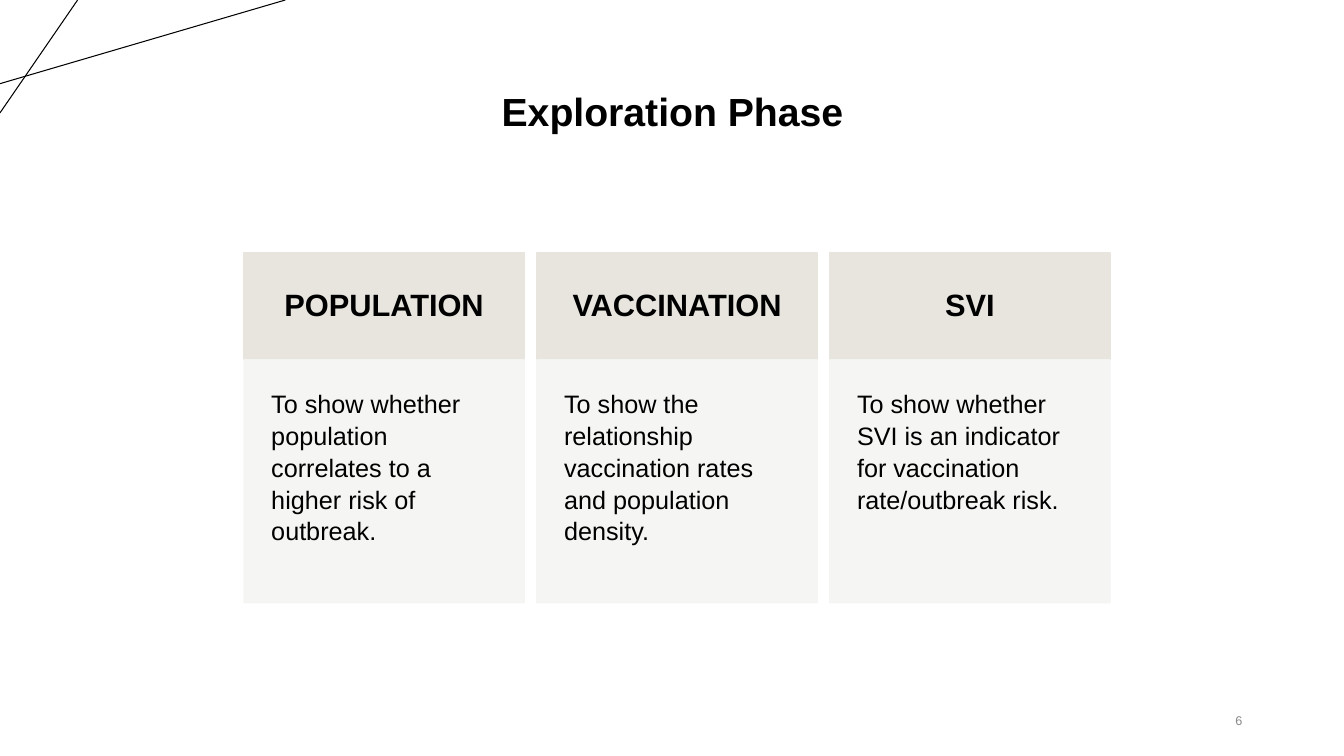
import pptx
import pptx.dml.color
import pptx.enum.shapes
import pptx.enum.text
import pptx.oxml.ns
import pptx.util
from dataclasses import dataclass
from lxml import etree

Inches = pptx.util.Inches
Align = pptx.enum.text.PP_ALIGN
Anchor = pptx.enum.text.MSO_ANCHOR


@dataclass(frozen=True)
class Theme:
    font: str = "Arial"
    ink: str = "000000"
    header_fill: str = "E7E5DE"
    body_fill: str = "F5F5F3"
    muted: str = "888888"
    title_size: int = 28
    header_size: int = 22
    body_size: int = 18
    number_size: int = 9


theme = Theme()
rgb = pptx.dml.color.RGBColor.from_string


def write(shape, text, size, color=theme.ink, bold=False, align=Align.LEFT,
          anchor=Anchor.MIDDLE, spacing=1.0, inset=(0.1, 0.05)):
    frame = shape.text_frame
    frame.word_wrap = True
    frame.vertical_anchor = anchor
    frame.margin_left = frame.margin_right = Inches(inset[0])
    frame.margin_top = frame.margin_bottom = Inches(inset[1])
    paragraph = frame.paragraphs[0]
    paragraph.text = text
    paragraph.alignment = align
    paragraph.line_spacing = spacing
    paragraph.font.name = theme.font
    paragraph.font.size = pptx.util.Pt(size)
    paragraph.font.bold = bold
    paragraph.font.color.rgb = rgb(color)


def add_panel(top, left, width, height, color):
    panel = slide.shapes.add_shape(
        pptx.enum.shapes.MSO_SHAPE.RECTANGLE,
        Inches(left), Inches(top), Inches(width), Inches(height))
    panel.shadow.inherit = False
    panel.fill.solid()
    panel.fill.fore_color.rgb = rgb(color)
    panel.line.color.rgb = rgb(color)
    panel.line.width = pptx.util.Pt(1)
    return panel


deck = pptx.Presentation()
deck.slide_width, deck.slide_height = Inches(13.33), Inches(7.5)
slide = deck.slides.add_slide(deck.slide_layouts[6])

# Crossing lines in the corner
for x1, y1, x2, y2 in [(0, 0.83, 2.83, 0), (0.77, 0, 0, 1.12)]:
    corner_line = slide.shapes.add_connector(
        pptx.enum.shapes.MSO_CONNECTOR.STRAIGHT,
        Inches(x1), Inches(y1), Inches(x2), Inches(y2))
    corner_line.line.color.rgb = rgb(theme.ink)
    corner_line.line.width = pptx.util.Pt(0.75)
    etree.SubElement(corner_line._element.spPr, pptx.oxml.ns.qn("a:effectLst"))

# Title
title = slide.shapes.add_textbox(Inches(0.92), Inches(0.4), Inches(11.5), Inches(1.45))
write(title, "Exploration Phase", theme.title_size, bold=True,
      align=Align.CENTER, spacing=0.9)

# Three columns: a header above a translucent body
columns = [
    ("POPULATION",
     "To show whether population correlates to a higher risk of outbreak."),
    ("VACCINATION",
     "To show the relationship vaccination rates and population density."),
    ("SVI",
     "To show whether SVI is an indicator for vaccination rate/outbreak risk."),
]
first_left, column_pitch, column_width = 2.42, 2.905, 2.78
header_top, header_height, body_height = 2.51, 1.06, 2.41

for index, (heading, purpose) in enumerate(columns):
    left = first_left + index * column_pitch
    header = add_panel(header_top, left, column_width, header_height, theme.header_fill)
    write(header, heading, theme.header_size, bold=True, align=Align.CENTER,
          spacing=0.9, inset=(0.22, 0.22))

    body = add_panel(header_top + header_height, left, column_width, body_height,
                     theme.body_fill)
    for color in body._element.spPr.iter(pptx.oxml.ns.qn("a:srgbClr")):
        etree.SubElement(color, pptx.oxml.ns.qn("a:alpha"), val="90000")
    write(body, purpose, theme.body_size, anchor=Anchor.TOP, spacing=1.05,
          inset=(0.27, 0.27))

# Slide number
number = slide.shapes.add_textbox(Inches(9.42), Inches(6.95), Inches(3), Inches(0.4))
write(number, "6", theme.number_size, color=theme.muted, align=Align.RIGHT)

deck.save("out.pptx")
